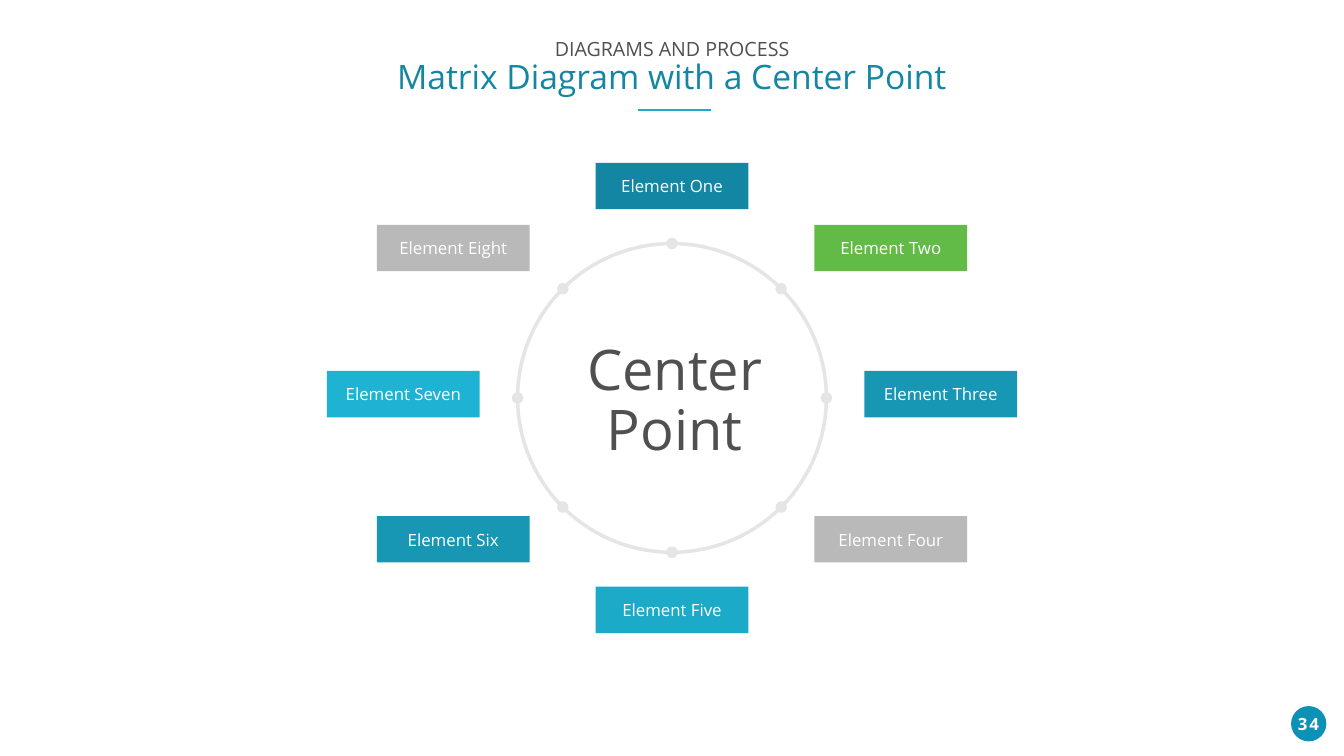
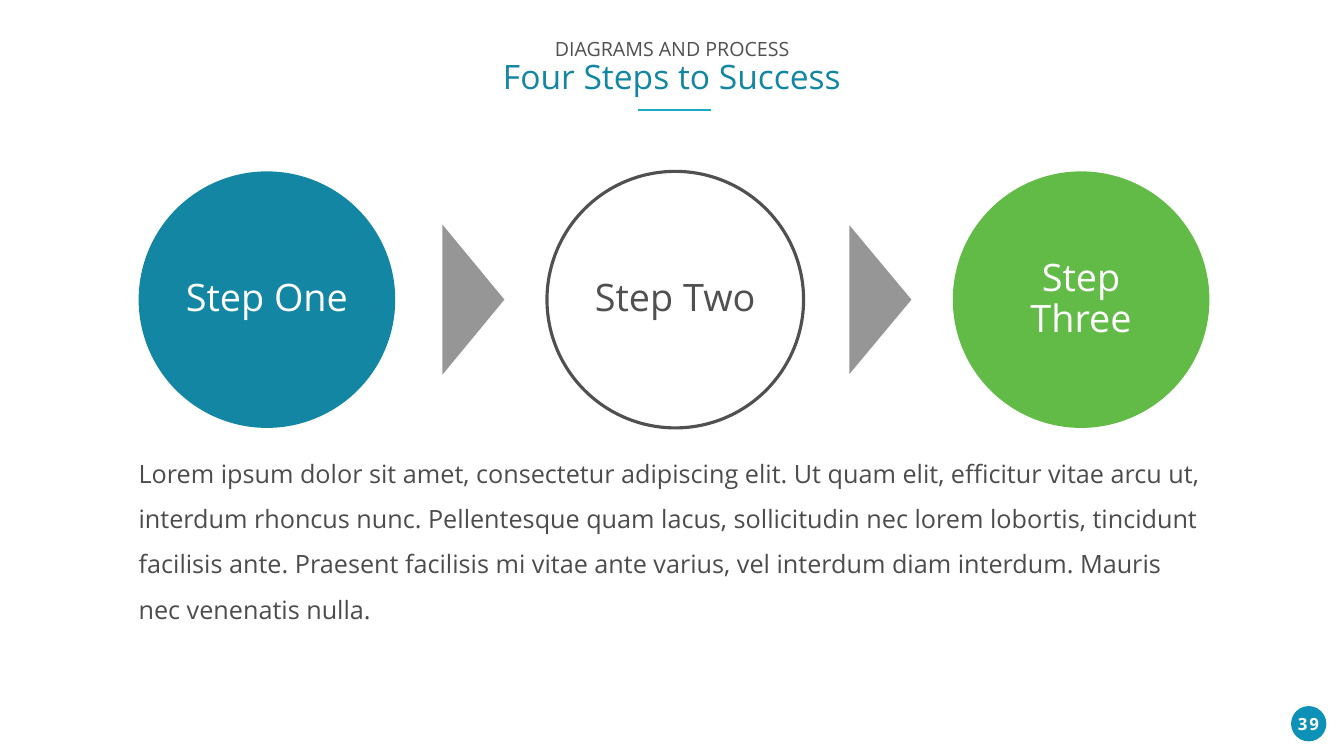
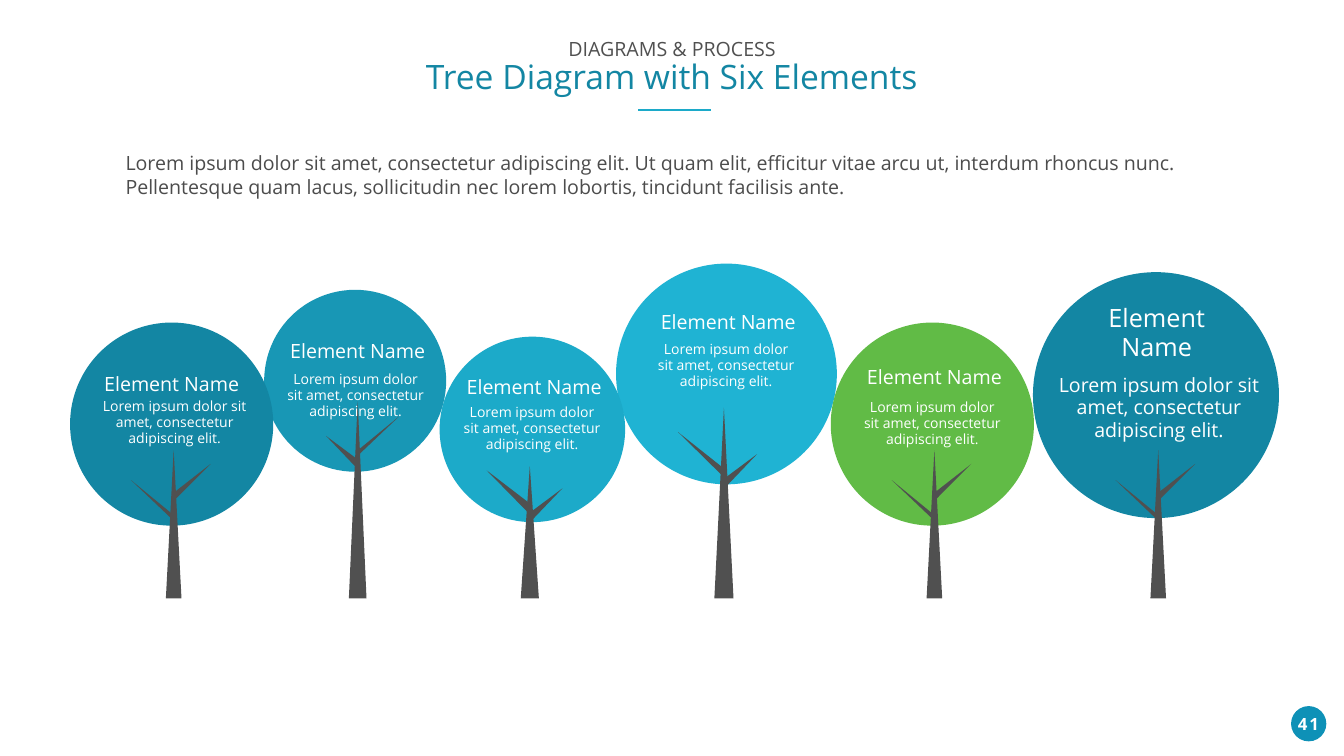
from dataclasses import dataclass
from math import cos, pi, sin

from lxml.etree import SubElement
from pptx import Presentation
from pptx.dml.color import RGBColor
from pptx.enum.shapes import MSO_CONNECTOR, MSO_SHAPE as SHAPE
from pptx.enum.text import MSO_ANCHOR as ANCHOR, MSO_AUTO_SIZE as AUTO_SIZE, PP_ALIGN as ALIGN
from pptx.oxml.ns import qn
from pptx.util import Inches, Pt

WIDTH, HEIGHT = Inches(26.66), Inches(15)
ROWS = 60
CELL = HEIGHT / ROWS  # the grid has square cells
MIDDLE = WIDTH / CELL / 2

FONT = "Open Sans"
COLORS = {
    "deep": "1386A3", "teal": "1897B5", "cyan": "1CAAC9", "sky": "1FB3D3",
    "green": "61BB46", "silver": "B9B9B9", "ring": "E5E5E5", "arrow": "969696",
    "dark": "505050", "body": "4C4C4C", "badge": "0E91B7", "white": "FFFFFF",
}

BLURB = "Lorem ipsum dolor sit amet, consectetur adipiscing elit."
INTRO = (BLURB + " Ut quam elit, efficitur vitae arcu ut, interdum rhoncus nunc. Pellentesque"
         " quam lacus, sollicitudin nec lorem lobortis, tincidunt facilisis ante.")
STORY = (INTRO + " Praesent facilisis mi vitae ante varius, vel interdum diam interdum."
         " Mauris nec venenatis nulla.")


def cells(*counts):
    return [round(count * CELL) for count in counts]


def color(name):
    return RGBColor.from_string(COLORS[name])


class Deck:
    """Holds the presentation, its style and the slide being filled."""

    def __init__(self):
        self.prs = Presentation()
        self.prs.slide_width, self.prs.slide_height = WIDTH, HEIGHT
        self.slide = None

    def start_slide(self, section, title, title_width, number):
        self.slide = self.prs.slides.add_slide(self.prs.slide_layouts[6])
        self.shape(SHAPE.OVAL, 103.84, 57.44, 2.8, 2.8, "badge")
        badge = self.text(103.82, 56.44, 3.16, 2, [(str(number), 24, "white")], bold=True)
        badge.paragraphs[0].runs[0]._r.get_or_add_rPr().set("spc", "300")
        self.rule(50.64, 56.4, 8.72)
        self.text(MIDDLE, 2.96, title_width, 5,
                  [(section, 28, "dark"), (title, 48, "deep")], spacing=0.9, wrap=False)

    def fill_text(self, frame, lines, align=ALIGN.CENTER, spacing=None, before=None, bold=None):
        """Fill a text frame with (text, size, colour) paragraphs."""
        for index, (text, size, ink) in enumerate(lines):
            paragraph = frame.add_paragraph() if index else frame.paragraphs[0]
            paragraph.text = text
            paragraph.alignment = align
            paragraph.line_spacing = spacing
            paragraph.space_before = before
            font = paragraph.font
            font.name, font.size, font.bold = FONT, Pt(size), bold
            font.color.rgb = color(ink)

    def margins(self, frame, across, down):
        frame.margin_left = frame.margin_right = cells(across)[0]
        frame.margin_top = frame.margin_bottom = cells(down)[0]

    def text(self, center, top, width, height, lines, wrap=True, margins=None, **style):
        """Add a text box that fits its text, placed by its centre column."""
        frame = self.slide.shapes.add_textbox(
            *cells(center - width / 2, top, width, height)).text_frame
        frame.word_wrap = wrap
        frame.auto_size = AUTO_SIZE.SHAPE_TO_FIT_TEXT
        if margins:
            self.margins(frame, *margins)
        self.fill_text(frame, lines, **style)
        return frame

    def passage(self, left, top, width, height, line, spacing):
        frame = self.text(left + width / 2, top, width, height, [line], margins=(0, 0),
                          align=ALIGN.LEFT, spacing=spacing, before=Pt(30))
        frame.auto_size = AUTO_SIZE.NONE
        frame.vertical_anchor = ANCHOR.MIDDLE

    def shape(self, kind, x, y, width, height, fill=None, line=None, weight=0, turn=0):
        """Add a preset shape placed by its centre."""
        shape = self.slide.shapes.add_shape(
            kind, *cells(x - width / 2, y - height / 2, width, height))
        shape.shadow.inherit = False
        shape.rotation = turn
        if fill:
            shape.fill.solid()
            shape.fill.fore_color.rgb = color(fill)
        else:
            shape.fill.background()
        if line:
            shape.line.color.rgb = color(line)
            shape.line.width = Pt(weight)
        else:
            shape.line.fill.background()
        return shape

    def label(self, shape, line, margin=0, **style):
        frame = shape.text_frame
        frame.word_wrap = True
        frame.vertical_anchor = ANCHOR.MIDDLE
        self.margins(frame, margin, margin)
        self.fill_text(frame, [line], **style)

    def rule(self, left, right, row):
        rule = self.slide.shapes.add_connector(
            MSO_CONNECTOR.STRAIGHT, *cells(right, row, left, row))
        rule.line.color.rgb = color("cyan")
        rule.line.width = Pt(3)
        SubElement(rule._element.spPr, qn("a:effectLst"))

    def tree(self, tree):
        self.shape(SHAPE.OVAL, tree.x, tree.y, tree.size, tree.size, tree.fill)
        trunk_height = GROUND - tree.trunk_top
        self.shape(SHAPE.ISOSCELES_TRIANGLE, tree.trunk_x, tree.trunk_top + trunk_height / 2,
                   tree.trunk_width, trunk_height, "dark")
        for dx, dy, width, length in tree.branches:
            self.shape(SHAPE.ISOSCELES_TRIANGLE, tree.trunk_x + dx, tree.trunk_top + dy,
                       width, length, "dark", turn=48.5 if dx > 0 else 311.5)

    def tree_text(self, tree):
        for center, top, (width, height, size), words in (
                (tree.blurb_x, tree.blurb_top, tree.blurb_box, BLURB),
                (tree.name_x, tree.name_top, tree.name_box, "Element Name")):
            self.text(center, top, width, height, [(words, size, "white")],
                      margins=(0.8, 0.4), spacing=0.95)


GROUND = 47.5
YOUNG = ((-1.76, 3.82, 0.32, 4.36), (1.46, 2.4, 0.48, 3.92))


@dataclass
class Tree:
    """Crown, trunk and text of one tree; boxes are width, height, type size."""
    x: float
    y: float
    size: float
    fill: str
    trunk_x: float
    name_x: float
    name_top: float
    blurb_x: float
    blurb_top: float
    trunk_top: float = 35.72
    trunk_width: float = 1.24
    branches: tuple = YOUNG
    name_box: tuple = (12.52, 2.6, 28)
    blurb_box: tuple = (12.52, 4.64, 20)


# Listed from back to front
TREES = [
    Tree(57.64, 29.68, 17.52, "sky", 57.44, 57.78, 24.32, 57.62, 26.76, 32.36, 1.52,
         ((-1.82, 3.54, 0.52, 4.84), (1.3, 4.86, 0.6, 3.56))),
    Tree(73.98, 33.66, 16.12, "green", 74.14, 74.14, 28.72, 73.98, 31.32),
    Tree(91.72, 31.36, 19.52, "deep", 91.9, 91.78, 23.76, 91.96, 29.32,
         name_box=(12.52, 5.44, 36), blurb_box=(17.84, 6.16, 28)),
    Tree(28.18, 30.22, 14.44, "teal", 28.38, 28.38, 26.6, 28.22, 29.08, 31.84, 1.4,
         ((-1.26, 3.86, 0.56, 3.32), (1.62, 2.68, 0.32, 4.48))),
    Tree(42.24, 34.08, 14.72, "cyan", 42.04, 42.38, 29.48, 42.22, 31.76, 37, 1.44,
         ((-1.72, 1.84, 0.64, 4.56), (1.32, 2.88, 0.56, 3.36))),
    Tree(13.62, 33.66, 16.12, "deep", 13.78, 13.62, 29.24, 13.86, 31.24,
         blurb_box=(15, 4.64, 20)),
]

# Name, fill, columns from the middle, row
ELEMENTS = [
    ("One", "deep", 0, 14.76), ("Two", "green", 17.36, 19.68),
    ("Three", "teal", 21.32, 31.28), ("Four", "silver", 17.36, 42.8),
    ("Five", "cyan", 0, 48.4), ("Six", "teal", -17.36, 42.8),
    ("Seven", "sky", -21.32, 31.28), ("Eight", "silver", -17.36, 19.68),
]


def matrix_slide(deck):
    deck.start_slide("DIAGRAMS AND PROCESS", "Matrix Diagram with a Center Point", 44.92, 34)
    for name, fill, offset, row in ELEMENTS:
        box = deck.shape(SHAPE.ROUNDED_RECTANGLE, MIDDLE + offset, row, 12.12, 3.68, fill)
        box.adjustments[0] = 0
        deck.label(box, (f"Element {name}", 24, "white"))
    hub_row, radius = 31.58, 12.25
    deck.shape(SHAPE.OVAL, MIDDLE, hub_row, 2 * radius, 2 * radius, line="ring", weight=5)
    for index in range(len(ELEMENTS)):
        angle = 2 * pi * index / len(ELEMENTS)
        deck.shape(SHAPE.OVAL, MIDDLE + radius * sin(angle), hub_row - radius * cos(angle),
                   0.92, 0.92, "ring")
    deck.text(53.54, 26.92, 14.84, 10.08, [("Center", 80, "dark"), ("Point", 80, "dark")],
              spacing=0.9, wrap=False)


def steps_slide(deck):
    deck.start_slide("DIAGRAMS AND PROCESS", "Four Steps to Success", 27.92, 39)
    row, size = 23.78, 20.36
    steps = [("One", 21.18, "deep", None, "white"), ("Two", 53.58, "white", "dark", "dark"),
             ("Three", 85.78, "green", None, "white")]
    for name, x, fill, outline, ink in steps:
        circle = deck.shape(SHAPE.OVAL, x, row, size, size, fill, outline, 4.5)
        deck.label(circle, (f"Step {name}", 54, ink), margin=0.6, spacing=0.9)
    for x, span in ((37.56, 11.92), (69.86, 11.8)):
        deck.shape(SHAPE.ISOSCELES_TRIANGLE, x, row, span, 4.92, "arrow", turn=90)
    deck.passage(11, 36, 84.96, 12.68, (STORY, 36, "body"), 1.5)


def trees_slide(deck):
    deck.start_slide("DIAGRAMS & PROCESS", "Tree Diagram with Six Elements", 40.24, 41)
    for tree in TREES:
        deck.tree(tree)
    for tree in TREES:
        deck.tree_text(tree)
    deck.passage(9.96, 11.16, 86.72, 5.36, (INTRO, 28, "body"), Pt(35))


def main():
    deck = Deck()
    matrix_slide(deck)
    steps_slide(deck)
    trees_slide(deck)
    deck.prs.save("out.pptx")


if __name__ == "__main__":
    main()
